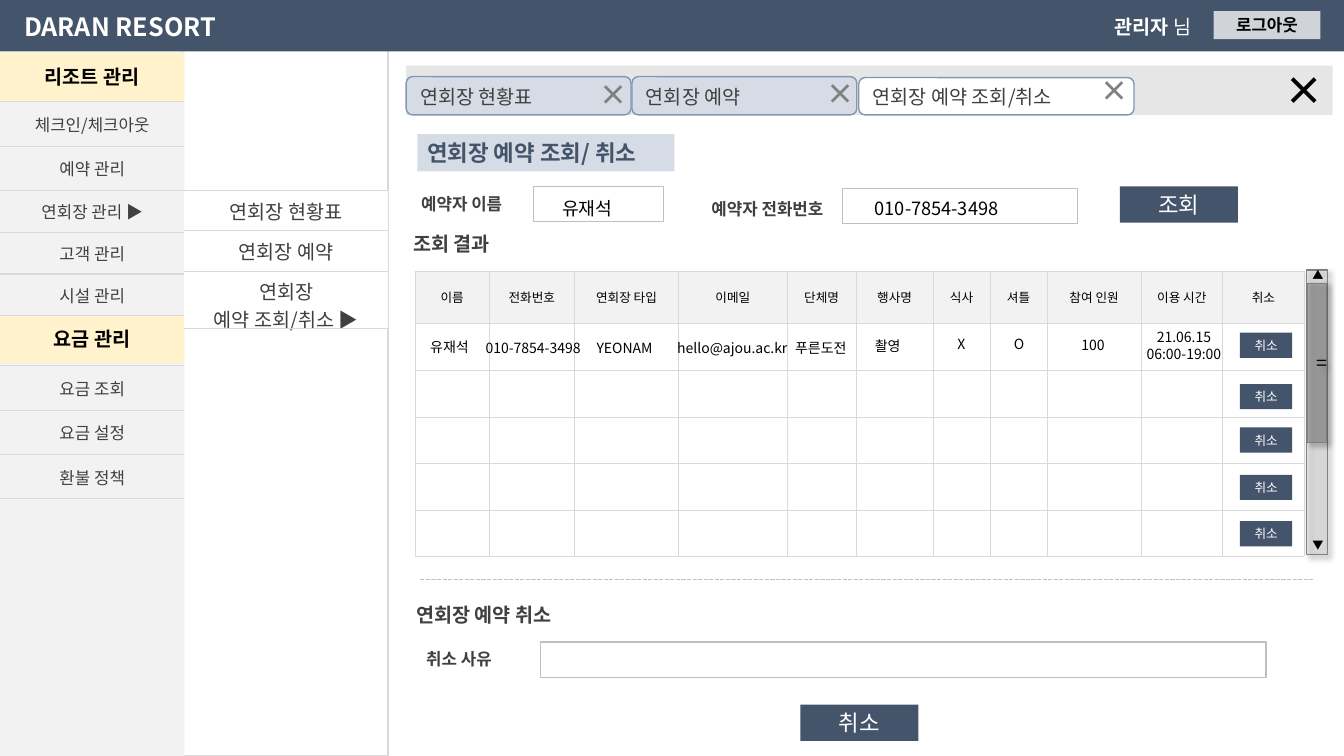
import pptx
import pptx.util
import pptx.dml.color
import pptx.enum.dml
import pptx.enum.shapes
import pptx.enum.text
from lxml import etree
from pptx.oxml.ns import qn

RGB = pptx.dml.color.RGBColor
NAVY = RGB(0x44, 0x54, 0x6A)
PALE = RGB(0xD6, 0xDC, 0xE5)
EDGE = RGB(0x84, 0x97, 0xB0)
CREAM = RGB(0xFF, 0xF2, 0xCC)
WHITE = RGB(0xFF, 0xFF, 0xFF)
SMOKE = RGB(0xF2, 0xF2, 0xF2)
STRIP = RGB(0xE7, 0xE6, 0xE6)
RULE = RGB(0xD9, 0xD9, 0xD9)
SILVER = RGB(0xBF, 0xBF, 0xBF)
GRAY = RGB(0x80, 0x80, 0x80)
DARK = RGB(0x40, 0x40, 0x40)
BLACK = RGB(0, 0, 0)

FONT = "Noto Sans CJK KR"
FORM = pptx.enum.shapes.MSO_SHAPE
ALIGN = pptx.enum.text.PP_ALIGN
MIDDLE = pptx.enum.text.MSO_ANCHOR.MIDDLE
TOP = pptx.enum.text.MSO_ANCHOR.TOP
WIDE, HIGH = 133.33, 75


def grid(*cells):
    return [pptx.util.Inches(cell / 10) for cell in cells]


def write(frame, text, size, color, bold=False, align=ALIGN.CENTER):
    frame.text = text
    for para in frame.paragraphs:
        para.alignment = align
        font = para.font
        font.size = pptx.util.Pt(size)
        font.bold = bold
        font.color.rgb = color
        font.name = FONT
        etree.SubElement(font._rPr, qn("a:ea"), typeface=FONT)


def label(home, at, text, size, color=DARK, bold=False, align=ALIGN.LEFT, anchor=TOP):
    frame = home.add_textbox(*grid(*at)).text_frame
    frame.word_wrap = True
    frame.vertical_anchor = anchor
    write(frame, text, size, color, bold, align)
    return frame


def block(home, at, fill, edge=None, form=FORM.RECTANGLE, alpha=None):
    shape = home.add_shape(form, *grid(*at))
    shape.shadow.inherit = False
    shape.fill.solid()
    shape.fill.fore_color.rgb = fill
    if alpha:
        tint = shape._element.spPr.find(qn("a:solidFill"))[0]
        etree.SubElement(tint, qn("a:alpha"), val=str(alpha * 1000))
    if edge is None:
        shape.line.fill.background()
    else:
        shape.line.color.rgb = edge
        shape.line.width = pptx.util.Pt(1)
    return shape


def button(home, at, text, size, color=WHITE, fill=NAVY, bold=False,
           align=ALIGN.CENTER, alpha=None):
    frame = block(home, at, fill, alpha=alpha).text_frame
    frame.word_wrap = True
    frame.vertical_anchor = MIDDLE
    write(frame, text, size, color, bold, align)


def shade(shape):
    effect = shape._element.spPr.find(qn("a:effectLst"))
    drop = etree.SubElement(effect, qn("a:outerShdw"), blurRad="50800", dist="38100",
                            dir="2700000", algn="tl", rotWithShape="0")
    tint = etree.SubElement(drop, qn("a:srgbClr"), val=str(BLACK))
    etree.SubElement(tint, qn("a:alpha"), val="40000")


def border(cell, sides, width):
    props = cell._tc.get_or_add_tcPr()
    for spot, side in enumerate("LRTB"):
        line = etree.Element(qn("a:ln" + side), w=str(pptx.util.Pt(width)))
        if side in sides:
            fill = etree.SubElement(line, qn("a:solidFill"))
            etree.SubElement(fill, qn("a:srgbClr"), val=str(RULE))
        else:
            etree.SubElement(line, qn("a:noFill"))
        props.insert(spot, line)


def table(home, left, top, cols, rows, texts, fills, size, color, sides, width):
    frame = home.add_table(len(rows), len(cols), *grid(left, top, sum(cols), sum(rows)))
    sheet = frame.table
    sheet.first_row = sheet.horz_banding = False
    for col, span in zip(sheet.columns, grid(*cols)):
        col.width = span
    for row, span in zip(sheet.rows, grid(*rows)):
        row.height = span
    for row, line, fill in zip(sheet.rows, texts, fills):
        for cell, text in zip(row.cells, line):
            cell.fill.solid()
            cell.fill.fore_color.rgb = fill
            cell.vertical_anchor = MIDDLE
            write(cell.text_frame, text, size, color)
            border(cell, sides, width)


def menu(home, left, top, span, rows, items, fill, size):
    table(home, left, top, [span], rows, [[item] for item in items],
          [fill] * len(items), size, DARK, "TB", 1)


def frame(home):
    block(home, (40.3, 6.5, 91.9, 4.9), STRIP)
    block(home, (18.1, 5, 20.4, 70), WHITE, RULE)
    block(home, (0, 5.2, 18.3, HIGH - 5.2), SMOKE)
    block(home, (0, 0, WIDE, 5.1), NAVY)
    label(home, (0, 0.6, 23.8, 4), "DARAN RESORT", 18, WHITE, True, ALIGN.CENTER)
    user = label(home, (109.6, 1, 12, 3.4), "관리자", 14, WHITE, True)
    tail = user.paragraphs[0].add_run()
    tail.text = " 님"
    tail.font.bold = False
    button(home, (120.4, 1.1, 10.6, 2.8), "로그아웃", 12, BLACK, WHITE, True, alpha=75)
    label(home, (126.4, 6.1, 6.5, 5.7), "×", 28, BLACK, True)


def menus(home):
    for top, text in ((5.2, "리조트 관리"), (31.2, "요금 관리")):
        button(home, (0, top, 18.3, 4.8), text, 14, BLACK, CREAM, True)
    menu(home, 0, 10.1, 18.3, [4.4, 4.4, 4.2, 4.1, 4.1],
         ["체크인/체크아웃", "예약 관리", "연회장 관리 ▶", "고객 관리", "시설 관리"], SMOKE, 12)
    menu(home, 0, 36.3, 18.3, [4.4] * 3, ["요금 조회", "요금 설정", "환불 정책"], SMOKE, 12)
    menu(home, 18.3, 18.9, 20.2, [4, 4, 5.7],
         ["연회장 현황표", "연회장 예약", "연회장\n예약 조회/취소 ▶"], WHITE, 14)


def tabs(home):
    for left, top, span, fill, text, cross, rise in (
        (40.3, 7.6, 22.3, PALE, "연회장 현황표", 58.5, 7.2),
        (62.7, 7.6, 22.3, PALE, "연회장 예약", 81, 7.1),
        (85.2, 7.7, 27.3, WHITE, "연회장 예약 조회/취소", 108.2, 6.8),
    ):
        block(home, (left, top, span, 11.4 - top), fill, EDGE, FORM.ROUNDED_RECTANGLE)
        label(home, (left + 0.4, 7.9, span - 5, 3.4), text, 14)
        label(home, (cross, rise, 4.8, 4.4), "×", 20, GRAY, True)


def search(home):
    button(home, (41.4, 13.3, 25.5, 3.7), "연회장 예약 조회/ 취소", 16, NAVY, PALE, True, ALIGN.LEFT)
    for at in ((52.9, 18.5, 12.9, 3.5), (83.6, 18.7, 23.3, 3.5), (53.6, 63.7, 72, 3.5)):
        block(home, at, WHITE, SILVER)
    for left, top, text, size in (
        (40.8, 18.7, "예약자 이름", 12), (69.6, 19.2, "예약자 전화번호", 12),
        (40, 22.5, "조회 결과", 14), (40.3, 59.3, "연회장 예약 취소", 14),
        (41.3, 63.9, "취소 사유", 12),
    ):
        label(home, (left, top, 23.9, 3.4), text, size, bold=True)
    label(home, (54.8, 19.1, 9, 3.2), "유재석", 13, BLACK)
    label(home, (85.8, 19.1, 18.8, 3.2), "010-7854-3498", 13, BLACK)
    button(home, (111.1, 18.5, 11.7, 3.6), "조회", 16)
    button(home, (79.4, 69.9, 11.7, 3.6), "취소", 16)
    x, y, end = grid(41.7, 57.5, 130.4)
    rule = home.add_connector(pptx.enum.shapes.MSO_CONNECTOR.STRAIGHT, x, y, end, y)
    rule.line.color.rgb = SILVER
    rule.line.width = pptx.util.Pt(1)
    rule.line.dash_style = pptx.enum.dml.MSO_LINE.SQUARE_DOT
    etree.SubElement(rule._element.spPr, qn("a:effectLst"))


def scroll(home):
    group = home.add_group_shape().shapes
    shade(block(group, (129.6, 26.8, 2.1, 28.2), SILVER, GRAY, alpha=29))
    thumb = block(group, (129.7, 28.1, 1.9, 15.8), GRAY, GRAY, alpha=49)
    shade(thumb)
    write(thumb.text_frame, "=", 14, BLACK)
    for top, mark in ((26.2, "▲"), (53, "▼")):
        label(group, (129.1, top, 3.3, 2.2), mark, 8, BLACK,
              align=ALIGN.CENTER, anchor=MIDDLE)


def result(home):
    heads = ["이름", "전화번호", "연회장 타입", "이메일", "단체명", "행사명",
             "식사", "셔틀", "참여 인원", "이용 시간", "취소"]
    cols = [7.3, 8.5, 10.3, 10.8, 6.8, 7.7, 5.6, 5.7, 9.3, 8.1, 8.1]
    table(home, 41.2, 26.9, cols, [5.2, 4.6, 4.7, 4.6, 4.6, 4.6],
          [heads] + [[""] * len(cols)] * 5, [SMOKE] + [WHITE] * 5, 9, BLACK, "LRTB", 0.25)
    scroll(home)
    for top in (33, 38.1, 42.4, 47.1, 51.7):
        button(home, (123, top, 5.2, 2.5), "취소", 9)
    for left, top, text in (
        (41.7, 33.1, "유재석"), (47.2, 33.2, "010-7854-3498"), (58.2, 33.2, "YEONAM"),
        (66.2, 33.2, "hello@ajou.ac.kr"), (77.9, 33.2, "푸른도전"), (85.8, 33, "촬영"),
        (94, 32.8, "X"), (99.6, 32.8, "O"), (106.3, 32.9, "100"),
    ):
        label(home, (left, top, 16.3, 2.7), text, 10, BLACK)
    label(home, (112.3, 32.1, 10.3, 4.4), "21.06.15\n06:00-19:00", 10, BLACK,
          align=ALIGN.CENTER)


def main():
    deck = pptx.Presentation()
    deck.slide_width, deck.slide_height = grid(WIDE, HIGH)
    home = deck.slides.add_slide(deck.slide_layouts[6]).shapes
    for part in (frame, menus, search, tabs, result):
        part(home)
    deck.save("out.pptx")


if __name__ == "__main__":
    main()
